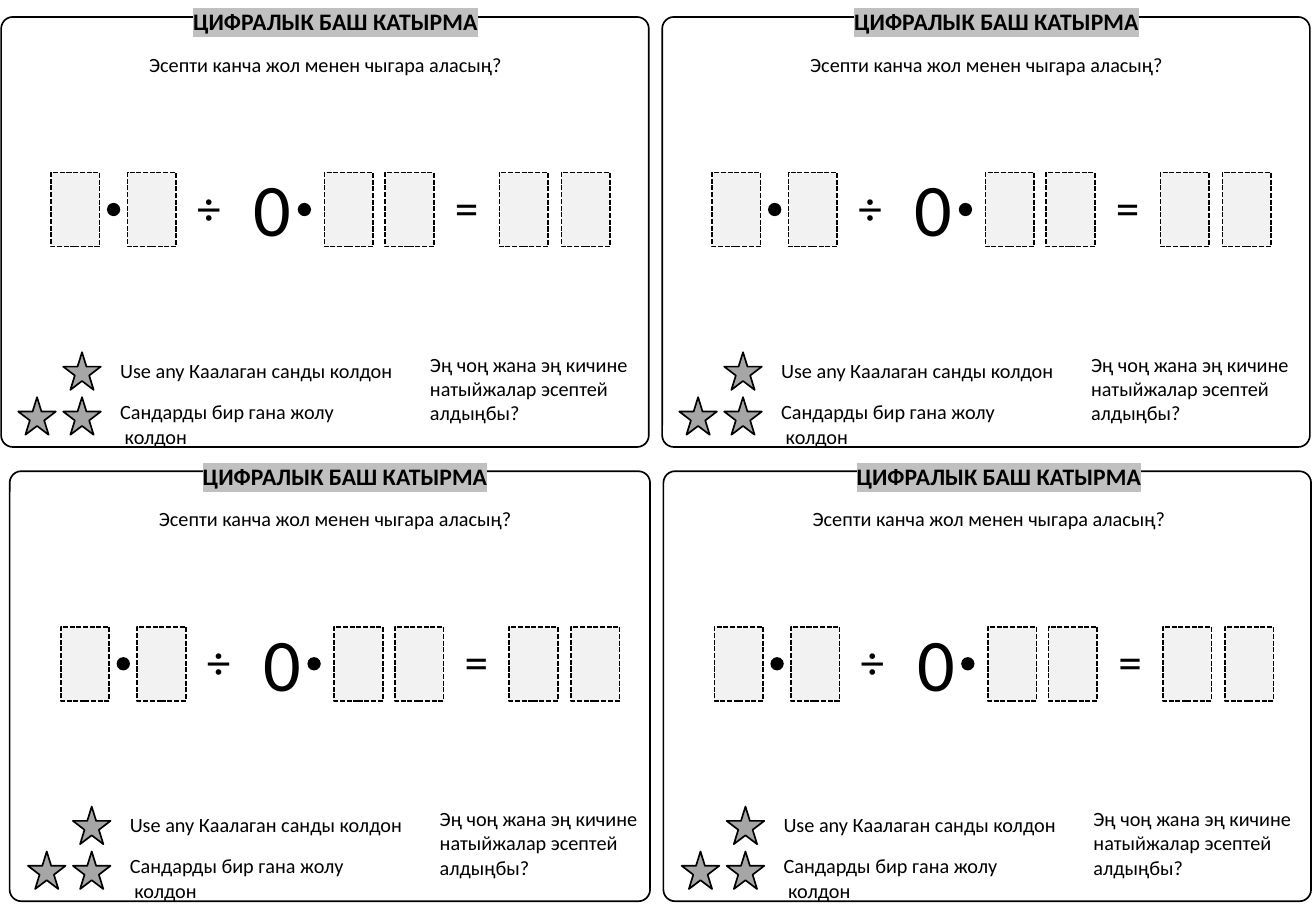
from pptx import Presentation
from pptx.dml.color import RGBColor
from pptx.enum.dml import MSO_LINE
from pptx.enum.shapes import MSO_SHAPE as SHAPE
from pptx.enum.text import MSO_ANCHOR, MSO_AUTO_SIZE, PP_ALIGN
from pptx.oxml.ns import qn
from pptx.util import Inches, Pt
from lxml import etree

COLORS = {"ink": "000000", "star": "A6A6A6", "digit": "F2F2F2", "highlight": "C0C0C0"}
FONT = "Calibri"

presentation = Presentation()
presentation.slide_width = Inches(10.83)
presentation.slide_height = Inches(7.5)
slide = presentation.slides.add_slide(presentation.slide_layouts[5])


def draw_shape(kind, left, top, width, height, fill=None, outlined=True):
    shape = slide.shapes.add_shape(
        kind, Inches(left), Inches(top), Inches(width), Inches(height))
    shape.shadow.inherit = False
    if fill:
        shape.fill.solid()
        shape.fill.fore_color.rgb = RGBColor.from_string(COLORS[fill])
    else:
        shape.fill.background()
    if outlined:
        shape.line.color.rgb = RGBColor.from_string(COLORS["ink"])
        shape.line.width = Pt(1)
    else:
        shape.line.fill.background()
    return shape


def write_text(lines, left, top, width, height, size=12, align=PP_ALIGN.LEFT, box=None):
    box = box or slide.shapes.add_textbox(0, 0, 0, 0)
    box.left, box.top = Inches(left), Inches(top)
    box.width, box.height = Inches(width), Inches(height)
    frame = box.text_frame
    frame.word_wrap = False
    frame.auto_size = MSO_AUTO_SIZE.SHAPE_TO_FIT_TEXT
    frame.vertical_anchor = MSO_ANCHOR.TOP
    for index, line in enumerate(lines):
        paragraph = frame.add_paragraph() if index else frame.paragraphs[0]
        paragraph.alignment = align
        run = paragraph.add_run()
        run.text = line
        run.font.name = FONT
        run.font.size = Pt(size)
        run.font.color.rgb = RGBColor.from_string(COLORS["ink"])
    return box


# Four cards: content offset, then frame left and width
cards = [
    (0, 0, 0.01, 5.33),
    (5.44, 0, 5.45, 5.33),
    (0.08, 3.74, 0.08, 5.27),
    (5.46, 3.74, 5.46, 5.33),
]

for number, (x, y, frame_left, frame_width) in enumerate(cards):
    # Card frame
    card = draw_shape(SHAPE.ROUNDED_RECTANGLE, frame_left, y + 0.14, frame_width, 3.54)
    card.adjustments[0] = 0.027

    # Highlighted heading, in front of the frame; the first is the slide title
    title = slide.shapes.title if number == 0 else None
    heading = write_text(["ЦИФРАЛЫК БАШ КАТЫРМА"], x + 1.48, y + 0.06, 2.56, 0.47,
                         14, PP_ALIGN.CENTER, title)
    card._element.addnext(heading._element)
    heading.text_frame.margin_left = heading.text_frame.margin_right = Inches(0.1)
    heading.text_frame.margin_top = heading.text_frame.margin_bottom = 0
    font = heading.text_frame.paragraphs[0].runs[0].font
    font.bold = True
    highlight = etree.Element(qn("a:highlight"))
    etree.SubElement(highlight, qn("a:srgbClr"), val=COLORS["highlight"])
    font._element.find(qn("a:solidFill")).addnext(highlight)

    # Question
    write_text(["Эсепти канча жол менен чыгара аласың?"],
               x + 1.11, y + 0.38, 3.14, 0.3, align=PP_ALIGN.CENTER)

    # Division puzzle
    for left in (0.42, 1.05, 2.67, 3.17, 4.11, 4.62):
        digit = draw_shape(SHAPE.RECTANGLE, x + left, y + 1.42, 0.4, 0.61, "digit")
        digit.line.dash_style = MSO_LINE.SQUARE_DOT
    for left in (0.88, 2.45):
        draw_shape(SHAPE.OVAL, x + left, y + 1.67, 0.11, 0.11, "ink", outlined=False)
    for sign, left in (("÷", 1.52), ("=", 3.64)):
        write_text([sign], x + left, y + 1.42, 0.4, 0.57, 28, PP_ALIGN.CENTER)
    write_text(["0"], x + 1.99, y + 1.29, 0.51, 0.84, 44)

    # Star levels and their rules
    for left, top in ((0.52, 2.9), (0.52, 3.27), (0.15, 3.27)):
        draw_shape(SHAPE.STAR_5_POINT, x + left, y + top, 0.31, 0.31, "star")
    write_text(["Use any Каалаган санды колдон"], x + 0.89, y + 2.9, 2.47, 0.5)
    write_text(["Сандарды бир гана жолу", " колдон"], x + 0.89, y + 3.24, 1.98, 0.5)

    # Challenge
    write_text(["Эң чоң жана эң кичине", "натыйжалар эсептей", "алдыңбы?"],
               x + 3.44, y + 2.85, 1.89, 0.91)

presentation.save("out.pptx")
